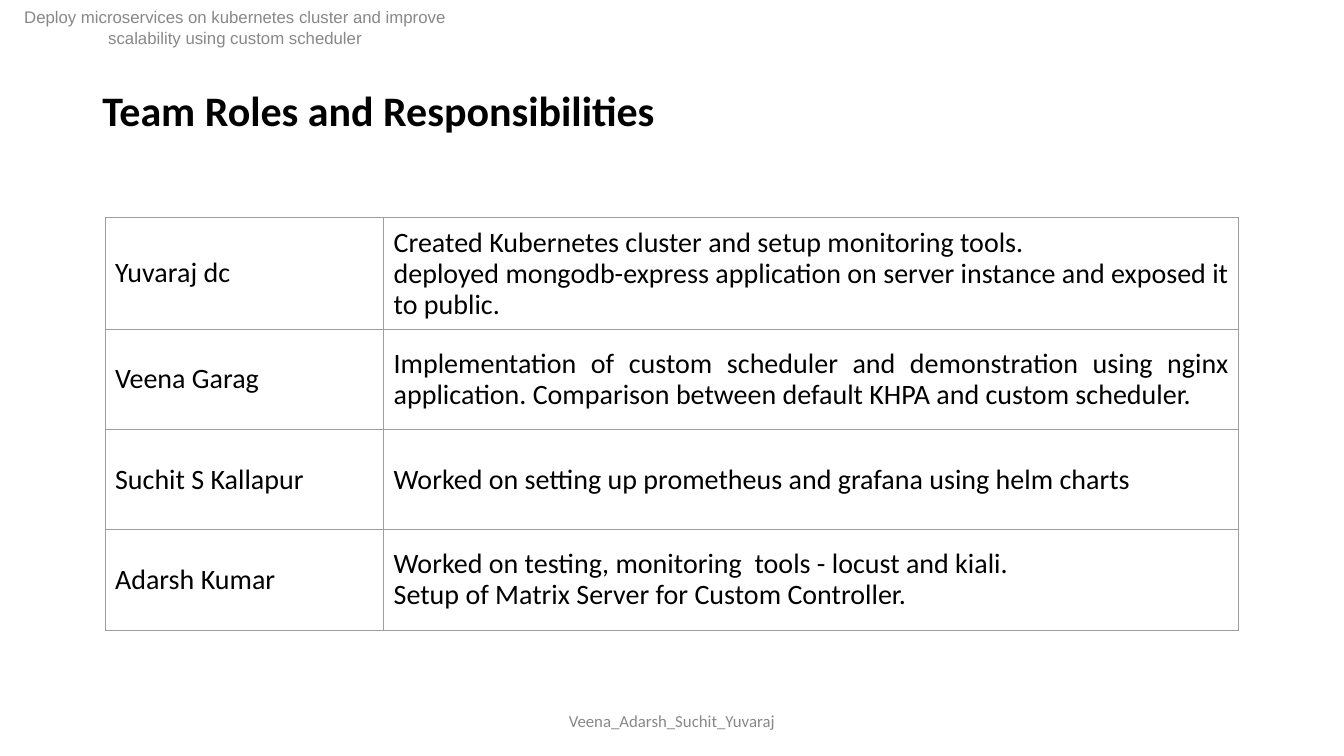
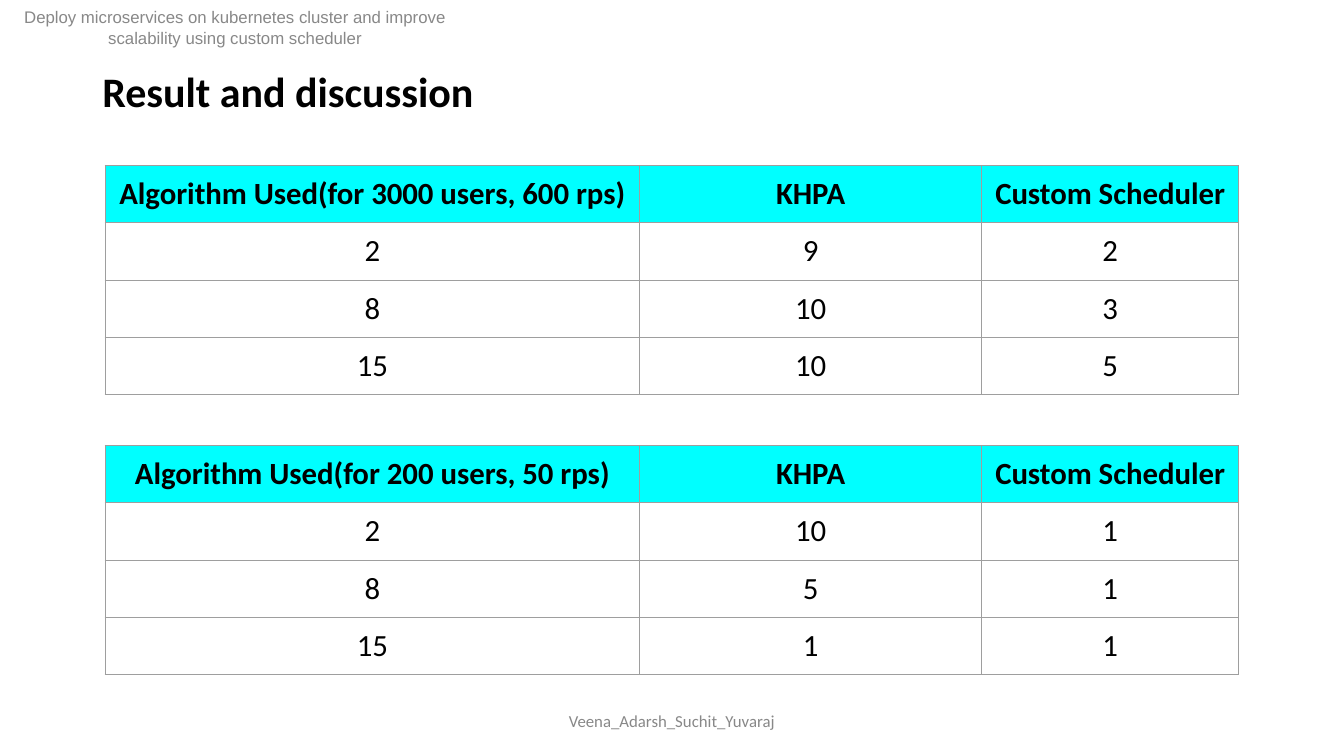
"""Build the team roles and results slides."""
from dataclasses import dataclass

from lxml import etree
from pptx import Presentation
from pptx.dml.color import RGBColor
from pptx.enum.text import MSO_ANCHOR, PP_ALIGN
from pptx.oxml.ns import qn
from pptx.slide import Slide
from pptx.text.text import TextFrame
from pptx.util import Pt

LEFT, MID, JUST = PP_ALIGN.LEFT, PP_ALIGN.CENTER, PP_ALIGN.JUSTIFY
CENTRE = MSO_ANCHOR.MIDDLE
BLACK, GREY, RULE, CYAN = "000000", "888888", "9E9E9E", "00FFFF"
EDGE, PAD = 75, 7.2


@dataclass(frozen=True)
class Style:
    size: float
    font: str = "Calibri"
    color: str = BLACK
    bold: bool = False
    align: PP_ALIGN = MID
    space: float = 1.0


@dataclass(frozen=True)
class Label:
    text: str
    left: float
    top: float
    width: float
    height: float
    style: Style


@dataclass(frozen=True)
class Grid:
    top: float
    cols: list[float]
    rows: list[float]
    cells: list[list[str]]
    body: Style
    head: Style | None = None


TITLE = Style(30, bold=True, align=LEFT, space=0.9)
ROLE = Style(20, align=JUST, space=0.9)
VALUE = Style(22)
HEAD = Style(22, bold=True)

BANDS = [
    Label("Deploy microservices on kubernetes cluster and improve "
          "scalability using custom scheduler", 6, 5, 324, 29,
          Style(12, "Arial", GREY)),
    Label("Veena_Adarsh_Suchit_Yuvaraj", 318, 500.5, 324, 29,
          Style(12, color=GREY)),
]

ROLES = [
    ["Yuvaraj dc",
     "Created Kubernetes cluster and setup monitoring tools.\n"
     "deployed mongodb-express application on server instance "
     "and exposed it to public."],
    ["Veena Garag",
     "Implementation of custom scheduler and demonstration using nginx "
     "application. Comparison between default KHPA and custom scheduler."],
    ["Suchit S Kallapur",
     "Worked on setting up prometheus and grafana using helm charts"],
    ["Adarsh Kumar",
     "Worked on testing, monitoring  tools - locust and kiali.\n"
     "Setup of Matrix Server for Custom Controller."],
]


def paint(code: str) -> RGBColor:
    """Turn a hex string into a colour."""
    return RGBColor.from_string(code)


def write(frame: TextFrame, text: str, style: Style) -> None:
    """Fill a frame with one paragraph for each line of text."""
    frame.word_wrap = True
    for num, line in enumerate(text.split("\n")):
        para = frame.add_paragraph() if num else frame.paragraphs[0]
        para.alignment = style.align
        para.line_spacing = style.space
        run = para.add_run()
        run.text = line
        run.font.size = Pt(style.size)
        run.font.name = style.font
        run.font.bold = style.bold
        run.font.color.rgb = paint(style.color)


def add_label(slide: Slide, label: Label) -> None:
    """Place a text box on the slide."""
    box = slide.shapes.add_textbox(Pt(label.left), Pt(label.top),
                                   Pt(label.width), Pt(label.height))
    box.text_frame.vertical_anchor = CENTRE
    write(box.text_frame, label.text, label.style)


def add_rules(cell) -> None:
    """Draw thin rules on all four sides of a cell."""
    props = cell._tc.get_or_add_tcPr()
    for side in ("a:lnL", "a:lnR", "a:lnT", "a:lnB"):
        line = etree.SubElement(props, qn(side), w=str(Pt(0.75)))
        fill = etree.SubElement(line, qn("a:solidFill"))
        etree.SubElement(fill, qn("a:srgbClr"), val=RULE)


def add_grid(slide: Slide, grid: Grid) -> None:
    """Place a ruled table on the slide."""
    table = slide.shapes.add_table(
        len(grid.rows), len(grid.cols), Pt(EDGE), Pt(grid.top),
        Pt(sum(grid.cols)), Pt(sum(grid.rows))).table
    table.first_row = table.horz_banding = False
    for col, width in zip(table.columns, grid.cols):
        col.width = Pt(width)
    for num, (row, height) in enumerate(zip(table.rows, grid.rows)):
        row.height = Pt(height)
        head = grid.head if num == 0 else None
        for cell, text in zip(row.cells, grid.cells[num]):
            cell.margin_left = cell.margin_right = Pt(PAD)
            cell.margin_top = cell.margin_bottom = Pt(PAD)
            cell.vertical_anchor = CENTRE
            add_rules(cell)
            if head:
                cell.fill.solid()
                cell.fill.fore_color.rgb = paint(CYAN)
            else:
                cell.fill.background()
            write(cell.text_frame, text, head or grid.body)


def scores(top: float, load: str, values: list[list[str]]) -> Grid:
    """Describe a table of results for one load."""
    head = [f"Algorithm Used(for {load})", "KHPA", "Custom Scheduler"]
    return Grid(top, [382, 244, 184], [41] * 4, [head, *values], VALUE, HEAD)


def add_page(deck, title: str, top: float, height: float,
             grids: list[Grid]) -> None:
    """Add a slide with its title, bands and tables."""
    slide = deck.slides.add_slide(deck.slide_layouts[6])
    for label in [Label(title, 66, top, 828, height, TITLE), *BANDS]:
        add_label(slide, label)
    for grid in grids:
        add_grid(slide, grid)


def main() -> None:
    """Build and save the deck."""
    deck = Presentation()
    deck.slide_width, deck.slide_height = Pt(960), Pt(540)
    add_page(deck, "Team Roles and Responsibilities", 29, 104, [
        Grid(155.5, [199, 611], [80, 71.5, 71.5, 71.5], ROLES, ROLE)])
    add_page(deck, "Result and discussion", 34, 66, [
        scores(118, "3000 users, 600 rps",
               [["2", "9", "2"], ["8", "10", "3"], ["15", "10", "5"]]),
        scores(318, "200 users, 50 rps",
               [["2", "10", "1"], ["8", "5", "1"], ["15", "1", "1"]])])
    deck.save("out.pptx")


if __name__ == "__main__":
    main()
